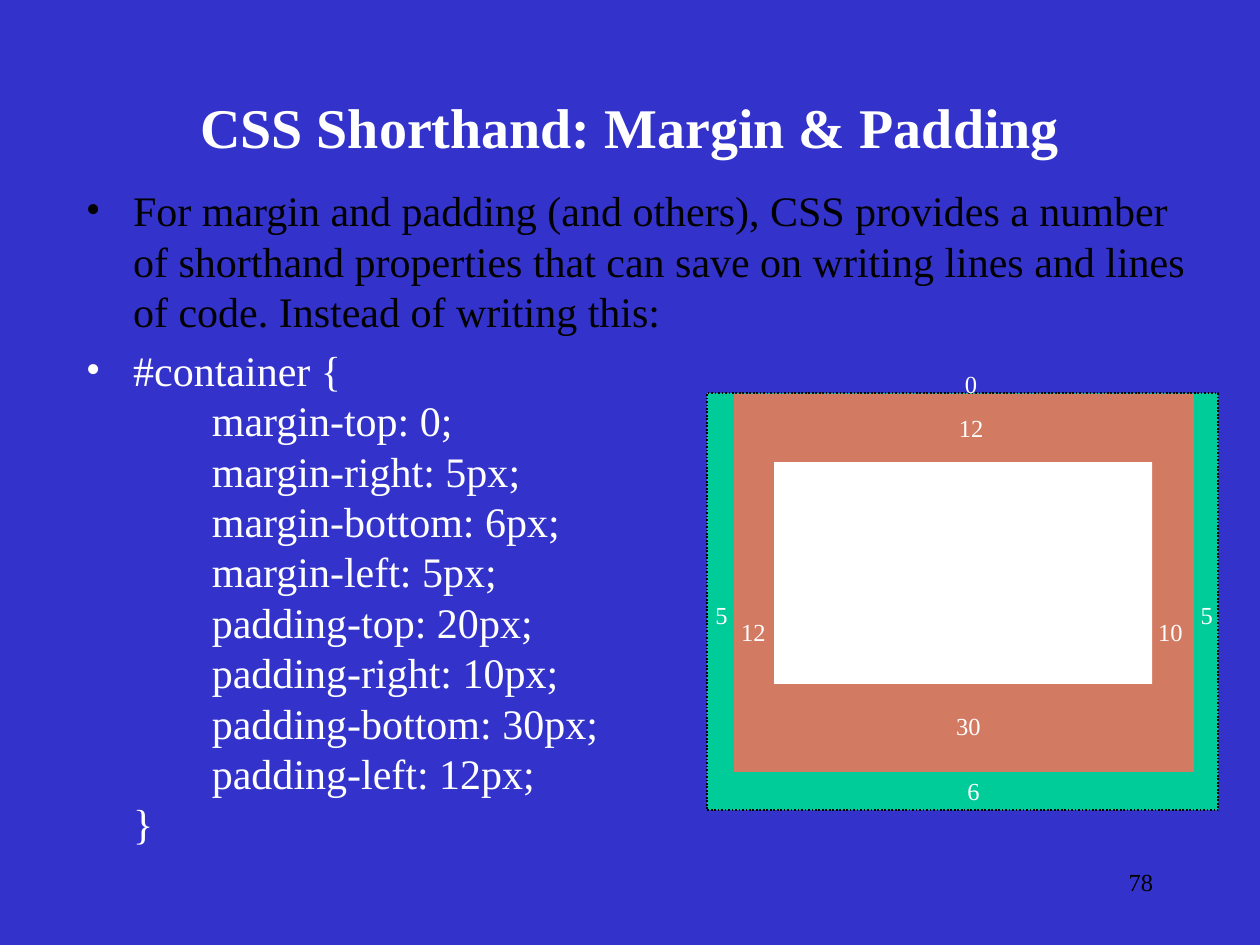
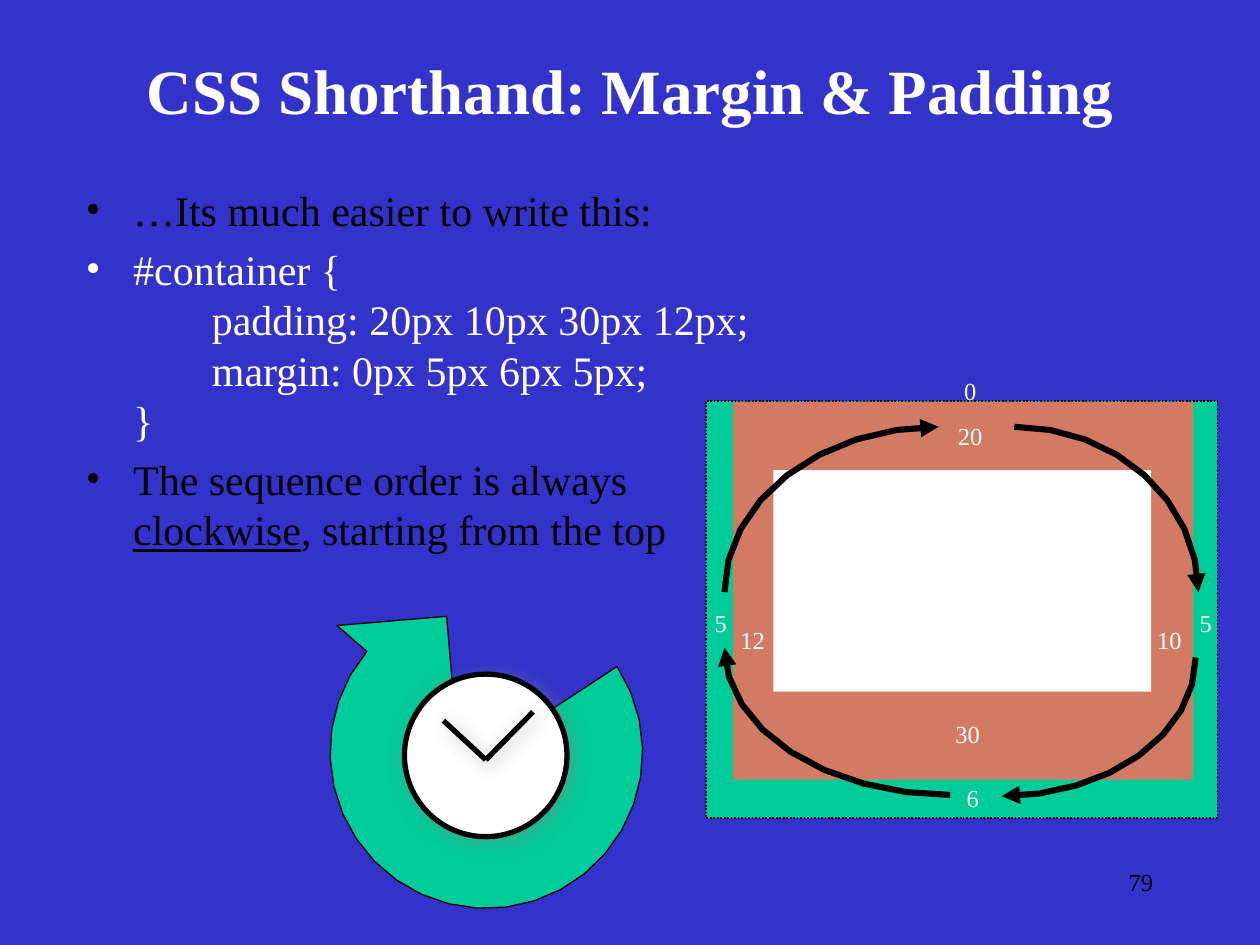
import math
from dataclasses import dataclass
from typing import Optional

import lxml.etree
import pptx
import pptx.dml.color
import pptx.enum.dml
import pptx.enum.shapes
import pptx.enum.text
import pptx.oxml.ns
import pptx.util

Pt = pptx.util.Pt
ALIGN = pptx.enum.text.PP_ALIGN
ANCHOR = pptx.enum.text.MSO_ANCHOR
SHAPE = pptx.enum.shapes.MSO_SHAPE
qn = pptx.oxml.ns.qn


@dataclass(frozen=True)
class Theme:
    font: str = "Times New Roman"
    background: str = "3333CC"
    ink: str = "000000"
    light: str = "FFFFFF"
    margin: str = "00CC99"
    padding: str = "D27B62"
    shadow: str = "808080"
    longhand_title_size: float = 32
    shorthand_title_size: float = 36
    body_size: float = 24
    small_size: float = 14


@dataclass(frozen=True)
class Box:
    left: float
    top: float
    width: float
    height: float

    def shifted(self, x: float, y: float) -> "Box":
        return Box(self.left + x, self.top + y, self.width, self.height)

    def emu(self) -> list:
        return [Pt(v) for v in (self.left, self.top, self.width, self.height)]


@dataclass(frozen=True)
class Run:
    text: str
    underline: bool = False


@dataclass(frozen=True)
class Paragraph:
    runs: tuple
    color: str


@dataclass(frozen=True)
class Arc:
    x: float
    y: float
    rx: float
    ry: float
    start: float
    end: float

    def points(self, steps: int) -> list:
        angles = [math.radians(self.start + (self.end - self.start) * i / steps)
                  for i in range(steps + 1)]
        return [(self.x + self.rx * math.cos(a), self.y + self.ry * math.sin(a))
                for a in angles]


@dataclass(frozen=True)
class Label:
    text: str
    x: float
    y: float


THEME = Theme()
PAGE_NUMBER = Box(516, 492, 150, 36)
MARGIN_AREA = Box(0, 0, 292.3, 238.3)
PADDING_AREA = Box(15.6, 0.4, 262.8, 216)
CONTENT_AREA = Box(38.5, 39.4, 216, 126.7)
SIDE_LABELS = (
    Label("6", 118.6, 215),
    Label("5", -25.4, 114.9),
    Label("5", 251.8, 114.9),
    Label("12", -7.2, 124.5),
    Label("10", 231, 124.5),
    Label("30", 115.7, 178.3),
    Label("0", 117.2, -17.6),
)
CLOCKWISE_ARROWS = (
    Arc(579.6, 338.4, 105.2, 94.5, 270, 360),
    Arc(536.4, 338.4, 122.4, 94.5, 180, 270),
    Arc(543, 370.1, 129, 84.2, 90, 180),
    Arc(572.4, 375.8, 110.9, 79.2, 0, 90),
)


def rgb(value: str) -> pptx.dml.color.RGBColor:
    return pptx.dml.color.RGBColor.from_string(value)


def format_font(font, size: float, color: str, bold: bool = False) -> None:
    font.name, font.size, font.bold = THEME.font, Pt(size), bold
    font.color.rgb = rgb(color)


def add_text(slide, text: str, box: Box, size: float = THEME.small_size,
             color: str = THEME.light, bold: bool = False,
             align=ALIGN.CENTER, anchor=ANCHOR.TOP) -> None:
    frame = slide.shapes.add_textbox(*box.emu()).text_frame
    frame.word_wrap = True
    frame.vertical_anchor = anchor
    line = frame.paragraphs[0]
    line.text = text
    line.alignment = align
    format_font(line.runs[0].font, size, color, bold)


def add_bullets(slide, box: Box, paragraphs: tuple) -> None:
    frame = slide.shapes.add_textbox(*box.emu()).text_frame
    frame.word_wrap = True
    for index, item in enumerate(paragraphs):
        line = frame.add_paragraph() if index else frame.paragraphs[0]
        properties = line._p.get_or_add_pPr()
        properties.set("marL", str(Pt(27)))
        properties.set("indent", str(-Pt(27)))
        lxml.etree.SubElement(properties, qn("a:buFont"), typeface=THEME.font)
        lxml.etree.SubElement(properties, qn("a:buChar"), char="•")
        tabs = lxml.etree.SubElement(properties, qn("a:tabLst"))
        lxml.etree.SubElement(tabs, qn("a:tab"), pos=str(Pt(72)), algn="l")
        if index:
            line.space_before = Pt(THEME.body_size * 0.2)
        format_font(line.font, THEME.body_size, item.color)
        for part in item.runs:
            for row, words in enumerate(part.text.split("\n")):
                if row:
                    line.add_line_break()
                if words:
                    run = line.add_run()
                    run.text = words
                    format_font(run.font, THEME.body_size, item.color)
                    run.font.underline = part.underline


def style_shape(shape, fill: Optional[str], line: Optional[str] = None,
                width: float = 1) -> None:
    shape.shadow.inherit = False
    if fill:
        shape.fill.solid()
        shape.fill.fore_color.rgb = rgb(fill)
    else:
        shape.fill.background()
    if line:
        shape.line.color.rgb = rgb(line)
        shape.line.width = Pt(width)
    else:
        shape.line.fill.background()


def add_area(slide, kind, box: Box, fill: str, line: Optional[str] = None,
             width: float = 1):
    area = slide.shapes.add_shape(kind, *box.emu())
    style_shape(area, fill, line, width)
    return area


def add_outline(slide, points: list, close: bool):
    corners = [(Pt(x), Pt(y)) for x, y in points]
    builder = slide.shapes.build_freeform(*corners[0], scale=1.0)
    builder.add_line_segments(corners[1:], close=close)
    return builder.convert_to_shape()


def cast_shadow(shape) -> None:
    properties = shape._element.spPr
    effects = properties.find(qn("a:effectLst"))
    if effects is None:
        effects = lxml.etree.SubElement(properties, qn("a:effectLst"))
    shadow = lxml.etree.SubElement(
        effects, qn("a:outerShdw"), blurRad=str(Pt(10.8)), dist=str(Pt(2.8)),
        dir="2700000", algn="ctr", rotWithShape="0")
    color = lxml.etree.SubElement(shadow, qn("a:srgbClr"), val=THEME.shadow)
    lxml.etree.SubElement(color, qn("a:alpha"), val="46000")


def add_box_model(slide, x: float, y: float, top_padding: str) -> None:
    margin = add_area(slide, SHAPE.RECTANGLE, MARGIN_AREA.shifted(x, y),
                      THEME.margin, THEME.ink)
    margin.line.dash_style = pptx.enum.dml.MSO_LINE.ROUND_DOT
    add_area(slide, SHAPE.RECTANGLE, PADDING_AREA.shifted(x, y), THEME.padding)
    add_area(slide, SHAPE.RECTANGLE, CONTENT_AREA.shifted(x, y), THEME.light)
    for label in SIDE_LABELS + (Label(top_padding, 117.2, 7.9),):
        add_text(slide, label.text, Box(x + label.x, y + label.y, 67.7, 23.8))


def add_clockwise_arrow(slide, arc: Arc) -> None:
    arrow = add_outline(slide, arc.points(8), close=False)
    style_shape(arrow, None, THEME.ink, 3.5)
    stroke = arrow._element.spPr.find(qn("a:ln"))
    lxml.etree.SubElement(stroke, qn("a:tailEnd"), type="triangle")


def add_turning_arrow(slide) -> None:
    x, y, inner, outer = 277.9, 429.8, 44.8, 89.3
    inside = Arc(x, y, inner, inner, 220.1, -33.2).points(6)
    outside = Arc(x, y, outer, outer, -33.2, 220.1).points(24)
    tip = [(192.5, 357.5), (255.2, 352.2), (260.6, 415.4)]
    ring = add_outline(slide, inside + outside + tip, close=True)
    style_shape(ring, THEME.margin, THEME.ink, 0.75)


def add_clock(slide) -> None:
    cast_shadow(add_area(slide, SHAPE.OVAL, Box(231.1, 385.2, 92.9, 92.9),
                         THEME.light, THEME.ink, 3))
    for x, y in ((253.4, 411.8), (304.6, 406.8)):
        hand = slide.shapes.add_connector(
            pptx.enum.shapes.MSO_CONNECTOR.STRAIGHT,
            Pt(x), Pt(y), Pt(277.6), Pt(434.2))
        hand.line.color.rgb = rgb(THEME.ink)
        hand.line.width = Pt(3)
        cast_shadow(hand)


def start_slide(deck, number: str, title_box: Box, title_size: float):
    slide = deck.slides.add_slide(deck.slide_layouts[6])
    slide.background.fill.solid()
    slide.background.fill.fore_color.rgb = rgb(THEME.background)
    add_text(slide, number, PAGE_NUMBER, color=THEME.ink, align=ALIGN.RIGHT)
    add_text(slide, "CSS Shorthand: Margin & Padding", title_box,
             size=title_size, bold=True, anchor=ANCHOR.MIDDLE)
    return slide


def build_longhand(deck) -> None:
    slide = start_slide(deck, "78", Box(54, 48, 612, 48),
                        THEME.longhand_title_size)
    intro = ("For margin and padding (and others), CSS provides a number of "
             "shorthand properties that can save on writing lines and lines "
             "of code. Instead of writing this:")
    code = ("#container {\n\tmargin-top: 0;\n\tmargin-right: 5px;\n"
            "\tmargin-bottom: 6px;\n\tmargin-left: 5px;\n"
            "\tpadding-top: 20px;\n\tpadding-right: 10px;\n"
            "\tpadding-bottom: 30px;\n\tpadding-left: 12px;\n}")
    add_bullets(slide, Box(42, 102, 654, 396), (
        Paragraph((Run(intro),), THEME.ink),
        Paragraph((Run(code),), THEME.light)))
    add_box_model(slide, 403.9, 224.7, "12")


def build_shorthand(deck) -> None:
    slide = start_slide(deck, "79", Box(54, 24, 612, 54),
                        THEME.shorthand_title_size)
    add_turning_arrow(slide)
    code = ("#container {\n\tpadding: 20px 10px 30px 12px;\n"
            "\tmargin: 0px 5px 6px 5px;\n}")
    add_bullets(slide, Box(42, 102, 654, 254), (
        Paragraph((Run("…Its much easier to write this:"),), THEME.ink),
        Paragraph((Run(code),), THEME.light),
        Paragraph((Run("The sequence order is always \n"),
                   Run("clockwise", underline=True),
                   Run(", starting from the top")), THEME.ink)))
    add_box_model(slide, 403.4, 229.2, "20")
    for arc in CLOCKWISE_ARROWS:
        add_clockwise_arrow(slide, arc)
    add_clock(slide)


def main() -> None:
    deck = pptx.Presentation()
    deck.slide_width, deck.slide_height = Pt(720), Pt(540)
    build_longhand(deck)
    build_shorthand(deck)
    deck.save("out.pptx")


if __name__ == "__main__":
    main()
